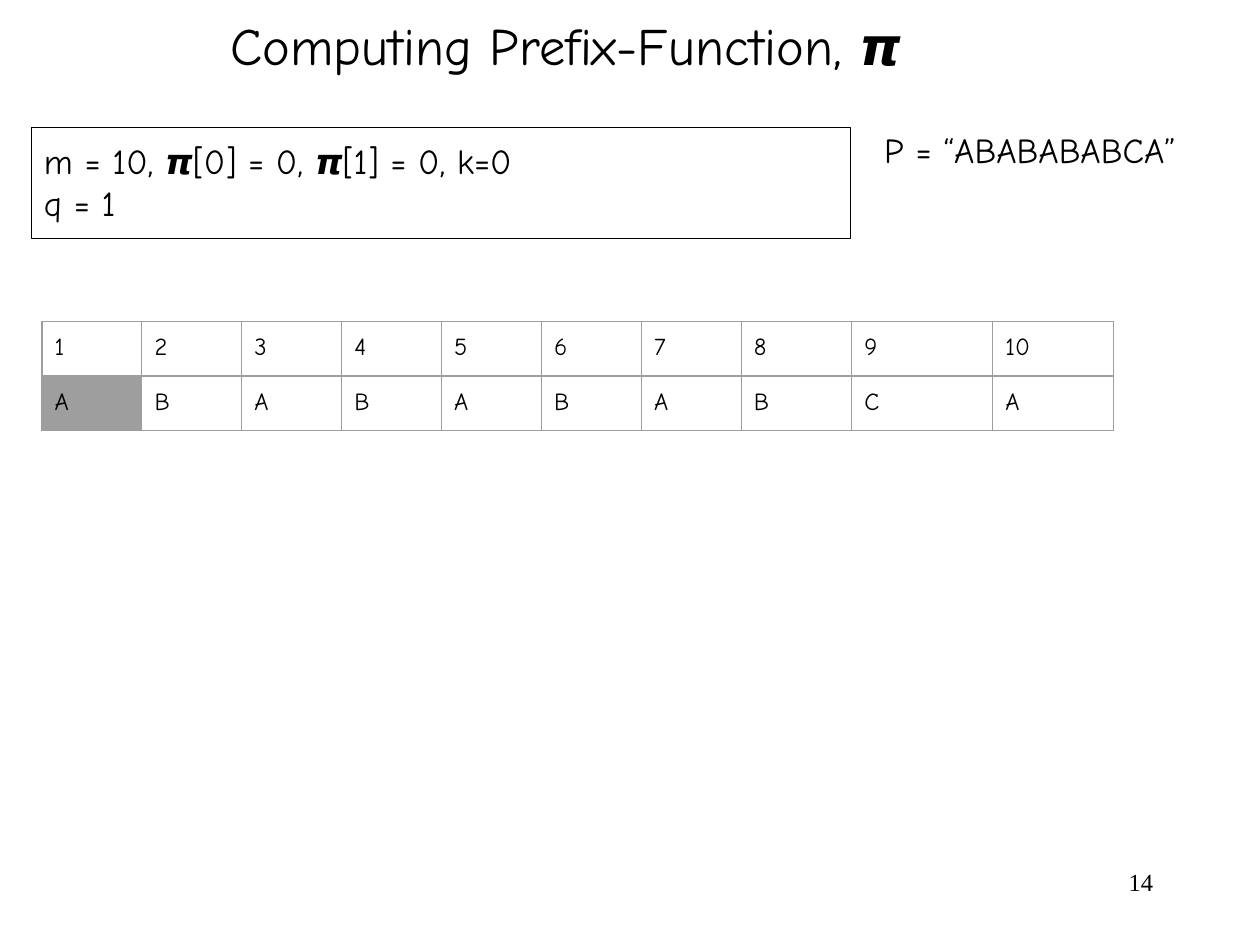
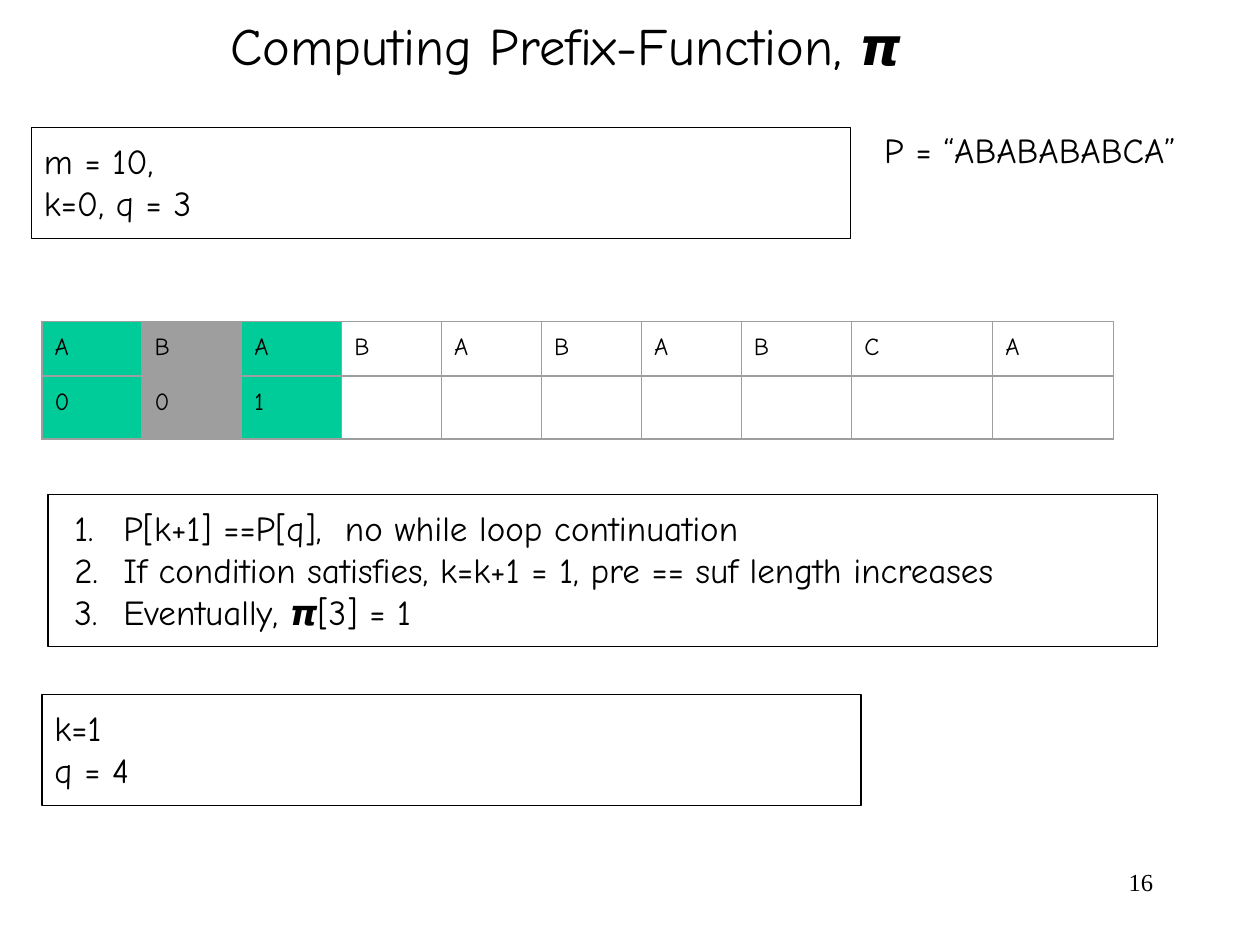
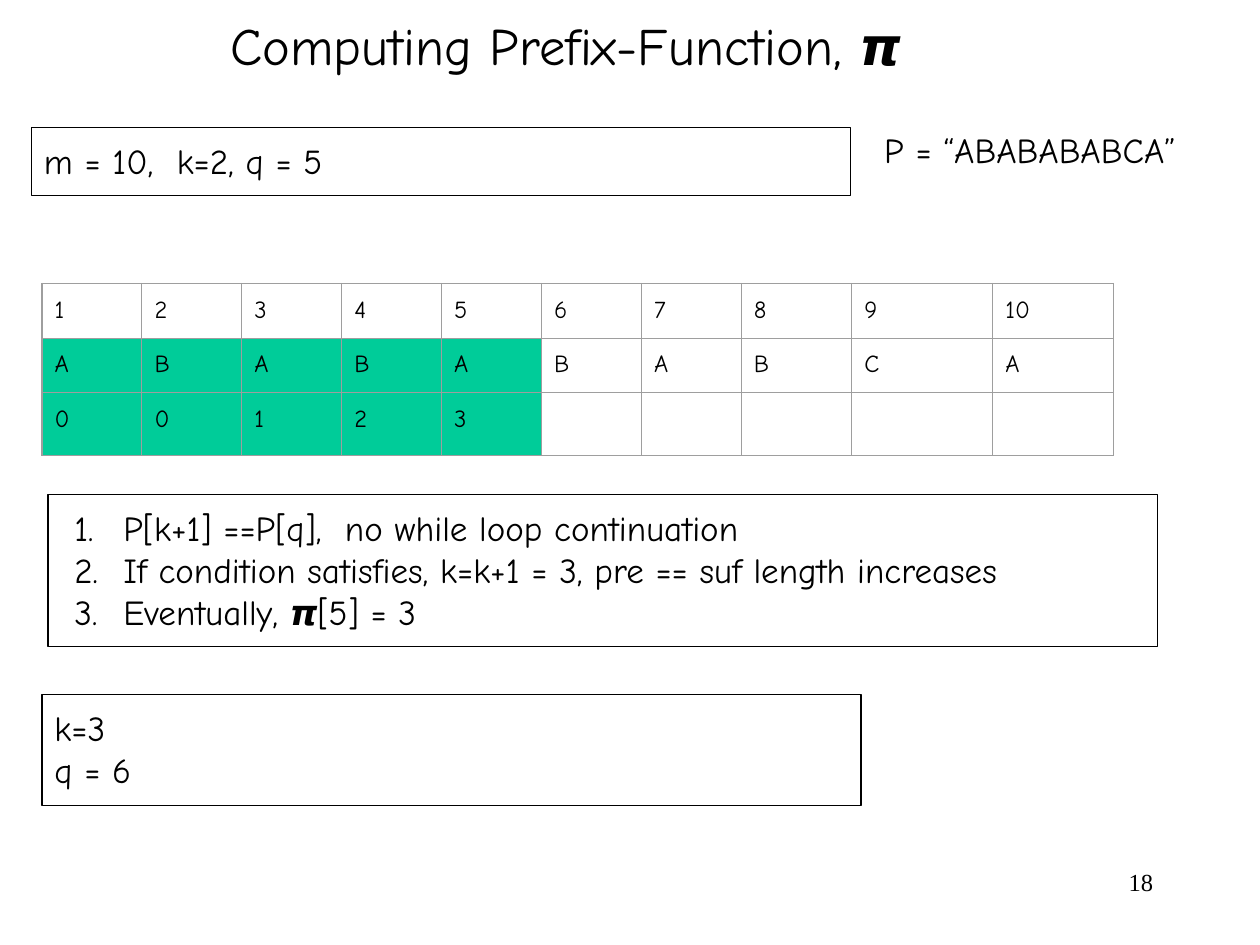
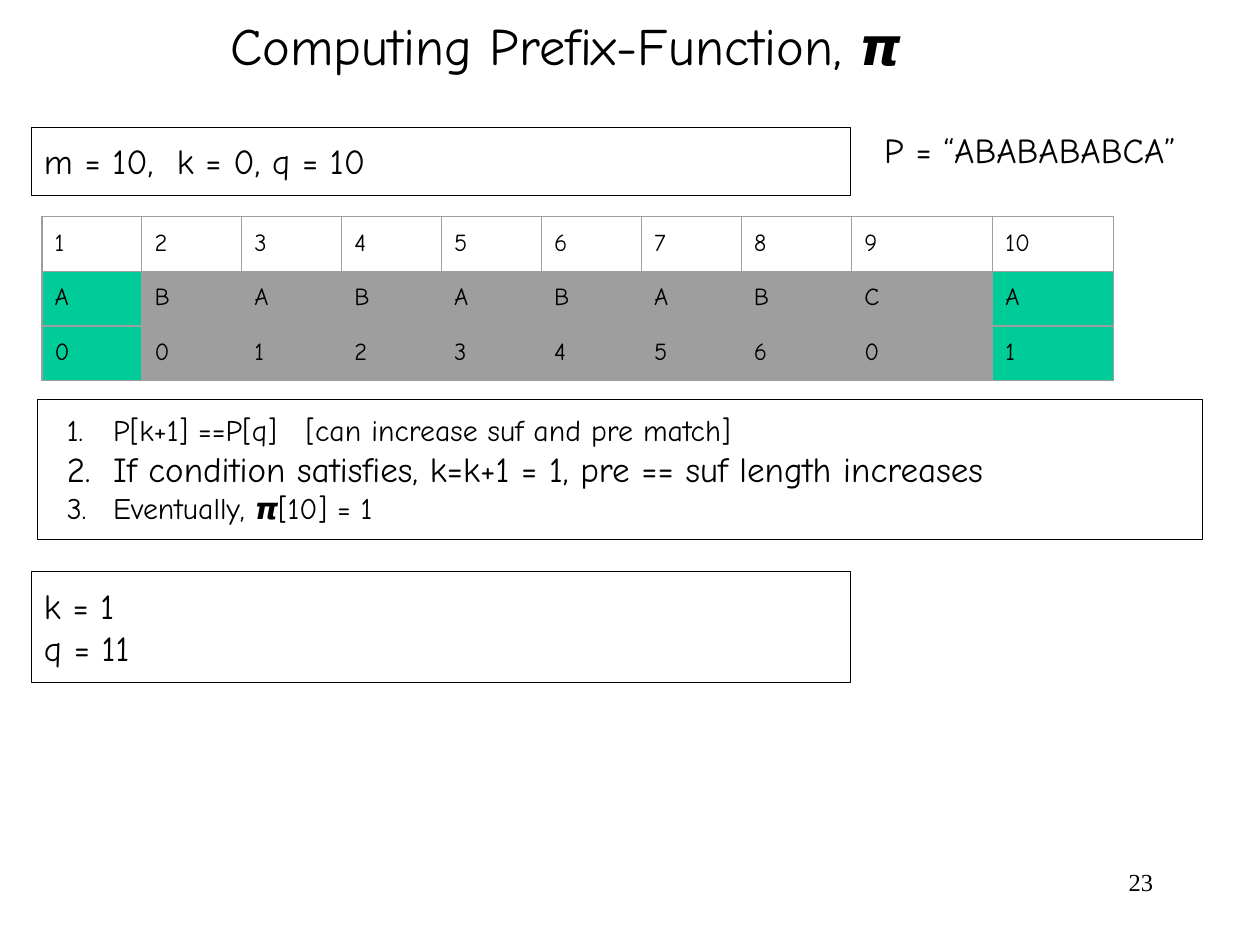
from dataclasses import dataclass

from lxml import etree
from pptx import Presentation
from pptx.dml.color import RGBColor
from pptx.enum import shapes, text
from pptx.oxml import ns
from pptx.util import Pt

INK, GRID, WHITE = "000000", "9E9E9E", "FFFFFF"
MATCH, DONE = "00CC99", "9E9E9E"
MARK_FILLS = {"m": MATCH, "d": DONE}
BODY_FONT, NUMBER_FONT = "Comic Neue", "Times New Roman"
TITLE = "Computing Prefix-Function, 𝞹"
PATTERN = "ABABABABCA"
PADDING = 7.2
COLUMN_WIDTHS = [57.1] * 7 + [63.1, 80.6, 69.1]
ROW_HEIGHT = 30
TABLE_LEFT = 24
STATE_WIDTH = 468


@dataclass(frozen=True)
class Box:
    left: float
    top: float
    width: float
    height: float


@dataclass(frozen=True)
class Line:
    text: str
    size: float = 20
    tab: float | None = None


@dataclass(frozen=True)
class Steps:
    box: Box
    lines: list[Line]
    hanging: float


@dataclass(frozen=True)
class Stage:
    number: int
    state: list[str]
    table_top: float
    marks: str
    numbered: bool = True
    prefix: str | None = None
    steps: Steps | None = None
    result: list[str] | None = None
    result_left: float = TABLE_LEFT
    result_top: float = 396.7


def loop_steps(q: int, k: int) -> Steps:
    lines = [
        Line("P[k+1] ==P[q],  no while loop continuation"),
        Line(f"If condition satisfies, k=k+1 = {k}, pre == suf length increases"),
        Line(f"Eventually, 𝞹[{q}] = {k}"),
    ]
    return Steps(Box(27.4, 282.4, 633.9, 87.1), lines, 28)


LAST_STEPS = Steps(
    Box(21.6, 228.3, 665.4, 80),
    [
        Line("P[k+1] ==P[q]\t[can increase suf and pre match]", 17, 146),
        Line("If condition satisfies, k=k+1 = 1, pre == suf length increases"),
        Line("Eventually, 𝞹[10] = 1", 17),
    ],
    26.5,
)

STAGES = [
    Stage(14, ["m = 10, 𝞹[0] = 0, 𝞹[1] = 0, k=0", "q = 1"], 183.6, "d"),
    Stage(16, ["m = 10,", "k=0, q = 3"], 183.6, "mdm", numbered=False, prefix="001",
          steps=loop_steps(3, 1), result=["k=1", "q = 4"]),
    Stage(18, ["m = 10,  k=2, q = 5"], 162, "mmmmm", prefix="00123",
          steps=loop_steps(5, 3), result=["k=3", "q = 6"]),
    Stage(23, ["m = 10,  k = 0, q = 10"], 123.8, "mddddddddm", prefix="0012345601",
          steps=LAST_STEPS, result=["k = 1", "q = 11"], result_left=18, result_top=326.6),
]


def colour(value: str) -> RGBColor:
    return RGBColor.from_string(value)


def place(shape, box: Box) -> None:
    shape.left, shape.top = Pt(box.left), Pt(box.top)
    shape.width, shape.height = Pt(box.width), Pt(box.height)


def add_run(paragraph, content: str, size: float, font: str = BODY_FONT) -> None:
    run = paragraph.add_run()
    run.text = content
    run.font.size = Pt(size)
    run.font.name = font
    run.font.color.rgb = colour(INK)


def set_frame(frame, vertical: float = PADDING, grow: bool = True) -> None:
    frame.word_wrap = True
    frame.auto_size = text.MSO_AUTO_SIZE.SHAPE_TO_FIT_TEXT if grow else text.MSO_AUTO_SIZE.NONE
    frame.vertical_anchor = text.MSO_ANCHOR.TOP
    frame.margin_left = frame.margin_right = Pt(PADDING)
    frame.margin_top = frame.margin_bottom = Pt(vertical)


def number_paragraph(paragraph, hanging: float, tab: float | None) -> None:
    properties = paragraph._p.get_or_add_pPr()
    properties.set("marL", str(Pt(36)))
    properties.set("indent", str(Pt(-hanging)))
    bullet_colour = etree.SubElement(properties, ns.qn("a:buClr"))
    etree.SubElement(bullet_colour, ns.qn("a:srgbClr"), val=INK)
    etree.SubElement(properties, ns.qn("a:buAutoNum"), type="arabicPeriod")
    if tab is not None:
        tabs = etree.SubElement(properties, ns.qn("a:tabLst"))
        etree.SubElement(tabs, ns.qn("a:tab"), pos=str(Pt(tab)), algn="l")


def add_frame(slide, box: Box, lines: list[Line], hanging: float | None = None) -> None:
    shape = slide.shapes.add_shape(shapes.MSO_SHAPE.RECTANGLE, 0, 0, 0, 0)
    place(shape, box)
    shape.shadow.inherit = False
    shape.fill.background()
    shape.line.color.rgb = colour(INK)
    shape.line.width = Pt(0.75)
    frame = shape.text_frame
    set_frame(frame)
    for index, line in enumerate(lines):
        paragraph = frame.add_paragraph() if index else frame.paragraphs[0]
        paragraph.alignment = text.PP_ALIGN.LEFT
        if hanging is not None:
            number_paragraph(paragraph, hanging, line.tab)
        add_run(paragraph, line.text, line.size)


def add_state(slide, left: float, top: float, lines: list[str]) -> None:
    height = 14.6 + 24.4 * len(lines)
    add_frame(slide, Box(left, top, STATE_WIDTH, height), [Line(line) for line in lines])


def add_label(slide, box: Box, content: str, size: float, font: str = BODY_FONT,
              align=text.PP_ALIGN.LEFT, vertical: float = PADDING, grow: bool = True) -> None:
    label = slide.shapes.add_textbox(0, 0, 0, 0)
    place(label, box)
    set_frame(label.text_frame, vertical, grow)
    paragraph = label.text_frame.paragraphs[0]
    paragraph.alignment = align
    add_run(paragraph, content, size, font)


def add_title(slide) -> None:
    title = slide.shapes.title
    place(title, Box(0, 0, 646.6, 51.1))
    set_frame(title.text_frame)
    paragraph = title.text_frame.paragraphs[0]
    paragraph.alignment = text.PP_ALIGN.CENTER
    add_run(paragraph, TITLE, 30)


def format_cell(cell, content: str, fill: str | None) -> None:
    cell.margin_left = cell.margin_right = Pt(PADDING)
    cell.margin_top = cell.margin_bottom = Pt(PADDING)
    properties = cell._tc.get_or_add_tcPr()
    for side in ("a:lnL", "a:lnR", "a:lnT", "a:lnB"):
        border = etree.SubElement(properties, ns.qn(side), w=str(Pt(0.75)))
        solid = etree.SubElement(border, ns.qn("a:solidFill"))
        etree.SubElement(solid, ns.qn("a:srgbClr"), val=GRID)
    if fill:
        cell.fill.solid()
        cell.fill.fore_color.rgb = colour(fill)
    else:
        cell.fill.background()
    if content:
        add_run(cell.text_frame.paragraphs[0], content, 14)


def add_prefix_table(slide, stage: Stage) -> None:
    count = len(PATTERN)
    rows = [list(PATTERN)]
    if stage.numbered:
        rows.insert(0, [str(position) for position in range(1, count + 1)])
    if stage.prefix is not None:
        rows.append(list(stage.prefix.ljust(count)))
    table = slide.shapes.add_table(
        len(rows), count, Pt(TABLE_LEFT), Pt(stage.table_top),
        Pt(sum(COLUMN_WIDTHS)), Pt(ROW_HEIGHT * len(rows))).table
    table.first_row = table.horz_banding = False
    for column, width in zip(table.columns, COLUMN_WIDTHS):
        column.width = Pt(width)
    marks = stage.marks.ljust(count)
    for row_index, row in enumerate(rows):
        table.rows[row_index].height = Pt(ROW_HEIGHT)
        heading = stage.numbered and row_index == 0
        for column_index, content in enumerate(row):
            fill = WHITE if heading else MARK_FILLS.get(marks[column_index])
            format_cell(table.cell(row_index, column_index), content.strip(), fill)


def add_stage(presentation, stage: Stage) -> None:
    slide = presentation.slides.add_slide(presentation.slide_layouts[5])
    add_label(slide, Box(516.2, 491.8, 149.8, 36), str(stage.number), 14, NUMBER_FONT,
              text.PP_ALIGN.RIGHT, vertical=3.6, grow=False)
    add_title(slide)
    add_state(slide, 18, 72.7, stage.state)
    add_prefix_table(slide, stage)
    add_label(slide, Box(498.2, 66.2, 204.5, 38.9), f"P = “{PATTERN}”", 20)
    if stage.steps:
        add_frame(slide, stage.steps.box, stage.steps.lines, stage.steps.hanging)
    if stage.result:
        add_state(slide, stage.result_left, stage.result_top, stage.result)


def main() -> None:
    presentation = Presentation()
    presentation.slide_width, presentation.slide_height = Pt(720), Pt(540)
    for stage in STAGES:
        add_stage(presentation, stage)
    presentation.save("out.pptx")


if __name__ == "__main__":
    main()
